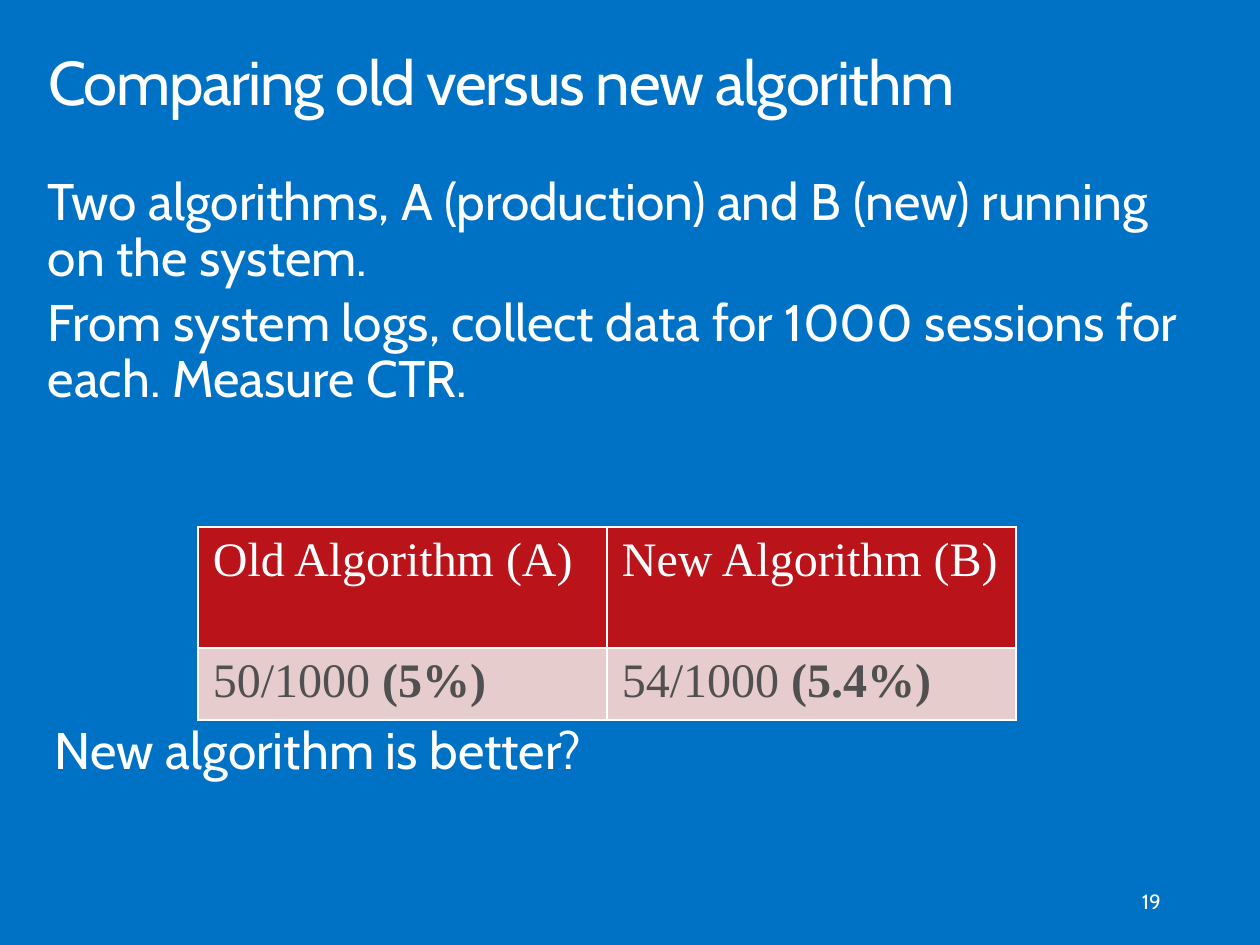
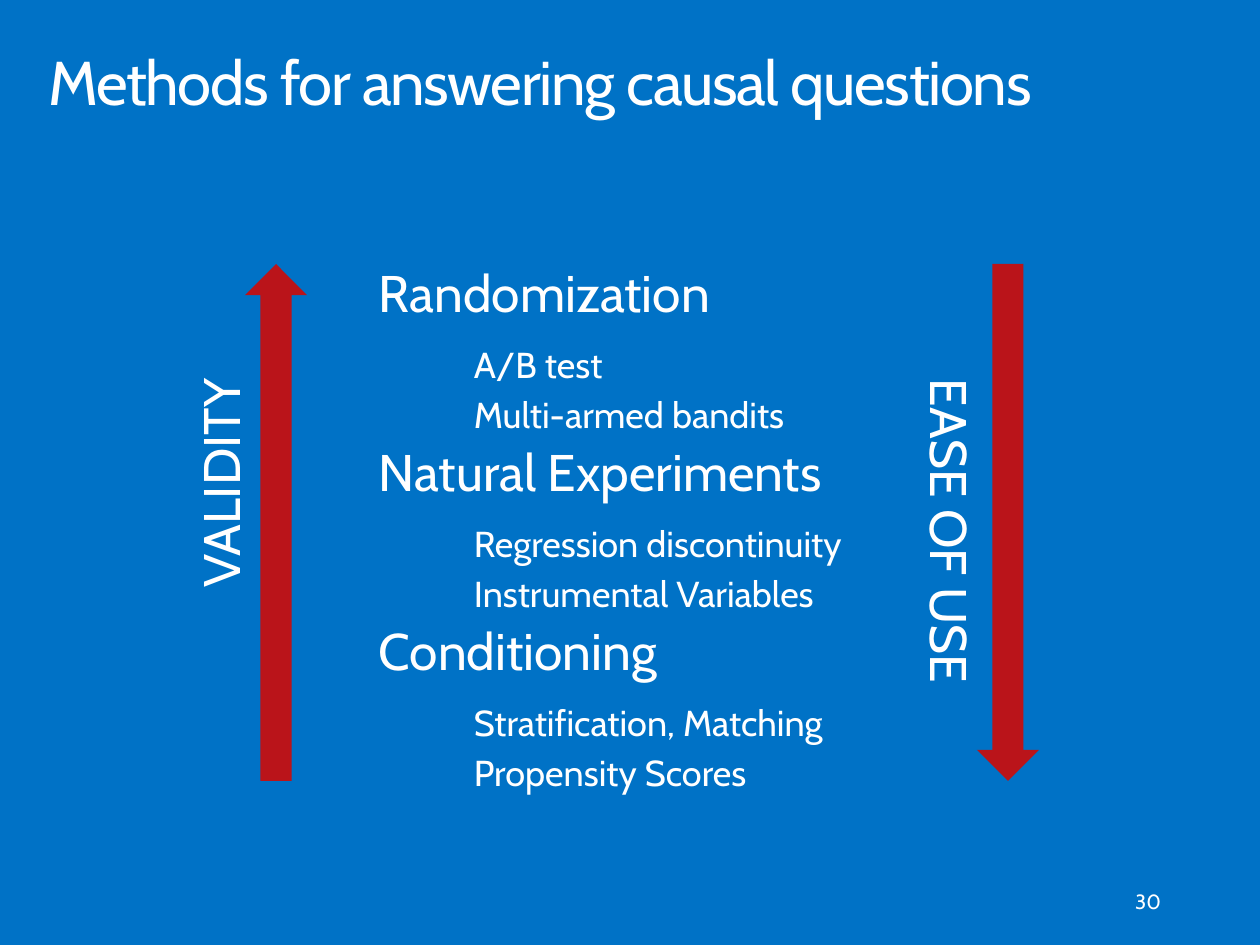
from lxml.etree import SubElement
from pptx import Presentation
from pptx.dml.color import RGBColor as Rgb
from pptx.enum.shapes import MSO_SHAPE as Shape
from pptx.enum.text import MSO_ANCHOR as Anchor, MSO_AUTO_SIZE as Fit, PP_ALIGN as Align
from pptx.oxml.ns import qn
from pptx.util import Pt

PX = 7402
WIDE, HIGH = 1260, 945
COLORS = {"back": "0072C6", "text": "FFFFFF", "red": "BA141A", "pink": "E7CCCD", "gray": "505050"}
SANS, SERIF = "Cabin", "Times New Roman"
TITLE = (28, 40, 1204, 124)
PAGE = (889, 876, 284, 51)


def px(*vals):
    """Turn pixels into EMU."""
    return [val * PX for val in vals]


def tint(name):
    """Look up a named colour."""
    return Rgb.from_string(COLORS[name])


def write(frame, text, size=30, color="text", font=SANS, bold=False, align=Align.LEFT,
          before=0, after=0, line=0.9, indent=0, track=0, join=False):
    """Add a formatted paragraph, or join a run to the last one."""
    para = frame.paragraphs[-1]
    if para.runs and not join:
        para = frame.add_paragraph()
    if not join:
        para.alignment, para.line_spacing = align, line
        para.space_before, para.space_after = Pt(before), Pt(after)
        if indent:
            para._p.get_or_add_pPr().set("marL", str(indent * PX))
    run = para.add_run()
    run.text = text
    run.font.size, run.font.name, run.font.bold = Pt(size), font, bold
    run.font.color.rgb = tint(color)
    if track:
        run.font._element.set("spc", str(track))


def pad(item, side, top):
    """Set equal margins on opposite sides of a frame or cell."""
    item.margin_left = item.margin_right = side * PX
    item.margin_top = item.margin_bottom = top * PX


def text_box(slide, box, side=20, top=12, wrap=True):
    """Place an empty text box and return its shape."""
    shape = slide.shapes.add_textbox(*px(*box))
    shape.text_frame.word_wrap = wrap
    pad(shape.text_frame, side, top)
    return shape


def new_slide(deck, title, page):
    """Start a slide with background, title and page number."""
    slide = deck.slides.add_slide(deck.slide_layouts[5])
    slide.background.fill.solid()
    slide.background.fill.fore_color.rgb = tint("back")
    head = slide.shapes.title
    head.left, head.top, head.width, head.height = px(*TITLE)
    frame = head.text_frame
    frame.auto_size, frame.word_wrap = Fit.NONE, True
    frame.vertical_anchor = Anchor.TOP
    pad(frame, 20, 12)
    write(frame, title, size=36, track=-80)
    foot = text_box(slide, PAGE, 12, 6).text_frame
    foot.vertical_anchor = Anchor.MIDDLE
    write(foot, page, size=12, align=Align.RIGHT, line=1.0)
    return slide


def add_cell(cell, runs, fill, color):
    """Fill one table cell with runs, borders and colour."""
    pad(cell, 15, 7)
    props = cell._tc.get_or_add_tcPr()
    for side in ("a:lnL", "a:lnR", "a:lnT", "a:lnB"):
        edge = SubElement(props, qn(side), w=str(Pt(1)))
        paint = SubElement(edge, qn("a:solidFill"))
        SubElement(paint, qn("a:srgbClr"), val=COLORS["text"])
    cell.fill.solid()
    cell.fill.fore_color.rgb = tint(fill)
    for num, text in enumerate(runs):
        write(cell.text_frame, text, size=28, font=SERIF, color=color,
              bold=num > 0, line=1.0, join=num > 0)


def add_grid(slide, box, highs, rows):
    """Place the results table with equal columns."""
    cols = len(rows[0])
    grid = slide.shapes.add_table(len(rows), cols, *px(*box)).table
    grid.horz_banding = False
    for col in grid.columns:
        col.width = box[2] * PX // cols
    for num, (high, row) in enumerate(zip(highs, rows)):
        grid.rows[num].height = high * PX
        fill, color = ("pink", "gray") if num else ("red", "text")
        for pos, runs in enumerate(row):
            add_cell(grid.cell(num, pos), runs, fill, color)


def add_list(slide, box, groups):
    """Place headings, each with indented items."""
    frame = text_box(slide, box).text_frame
    for num, (head, items) in enumerate(groups):
        write(frame, head, before=6 if num else 0)
        for pos, item in enumerate(items):
            write(frame, item, size=21, before=6.5 if pos else 14, indent=95)


def add_scale(slide, box, name, gap, length, turn=0):
    """Place a vertical arrow with its label to the left."""
    left, top, wide, high = box
    arrow = slide.shapes.add_shape(Shape.DOWN_ARROW, *px(*box))
    arrow.shadow.inherit = False
    arrow.fill.solid()
    arrow.fill.fore_color.rgb = tint("red")
    arrow.line.fill.background()
    label = text_box(slide, (left - gap, top + 100, 94, length), 19, 15, False)
    label.text_frame.auto_size = Fit.SHAPE_TO_FIT_TEXT
    label.text_frame._txBody.bodyPr.set("vert", "eaVert")
    write(label.text_frame, name, after=4.5)
    arrow.rotation = label.rotation = turn


def compare(deck):
    """Build the slide that compares two algorithms."""
    slide = new_slide(deck, "Comparing old versus new algorithm", "19")
    frame = text_box(slide, (28, 164, 1204, 211)).text_frame
    write(frame, "Two algorithms, A (production) and B (new) running on the system.")
    write(frame, "From system logs, collect data for 1000 sessions for each. Measure CTR.", before=6)
    add_grid(slide, (198, 527, 818, 193), (121, 72), [
        [["Old Algorithm (A)"], ["New Algorithm (B)"]],
        [["50/1000 ", "(5%)"], ["54/1000 ", "(5.4%)"]],
    ])
    ask = text_box(slide, (36, 710, 1026, 86), 19, 15)
    write(ask.text_frame, "New algorithm is better?", after=4.5)


def methods(deck):
    """Build the slide that ranks causal methods."""
    slide = new_slide(deck, "Methods for answering causal questions", "30")
    add_list(slide, (359, 256, 579, 568), [
        ("Randomization", ["A/B test", "Multi-armed bandits"]),
        ("Natural Experiments", ["Regression discontinuity", "Instrumental Variables"]),
        ("Conditioning", ["Stratification, Matching", "Propensity Scores"]),
    ])
    add_scale(slide, (977, 264, 62, 517), "EASE OF USE", 77, 326)
    add_scale(slide, (245, 264, 62, 517), "VALIDITY", 68, 238, 180)


def main():
    """Build and save the deck."""
    deck = Presentation()
    deck.slide_width, deck.slide_height = px(WIDE, HIGH)
    compare(deck)
    methods(deck)
    deck.save("out.pptx")


if __name__ == "__main__":
    main()
